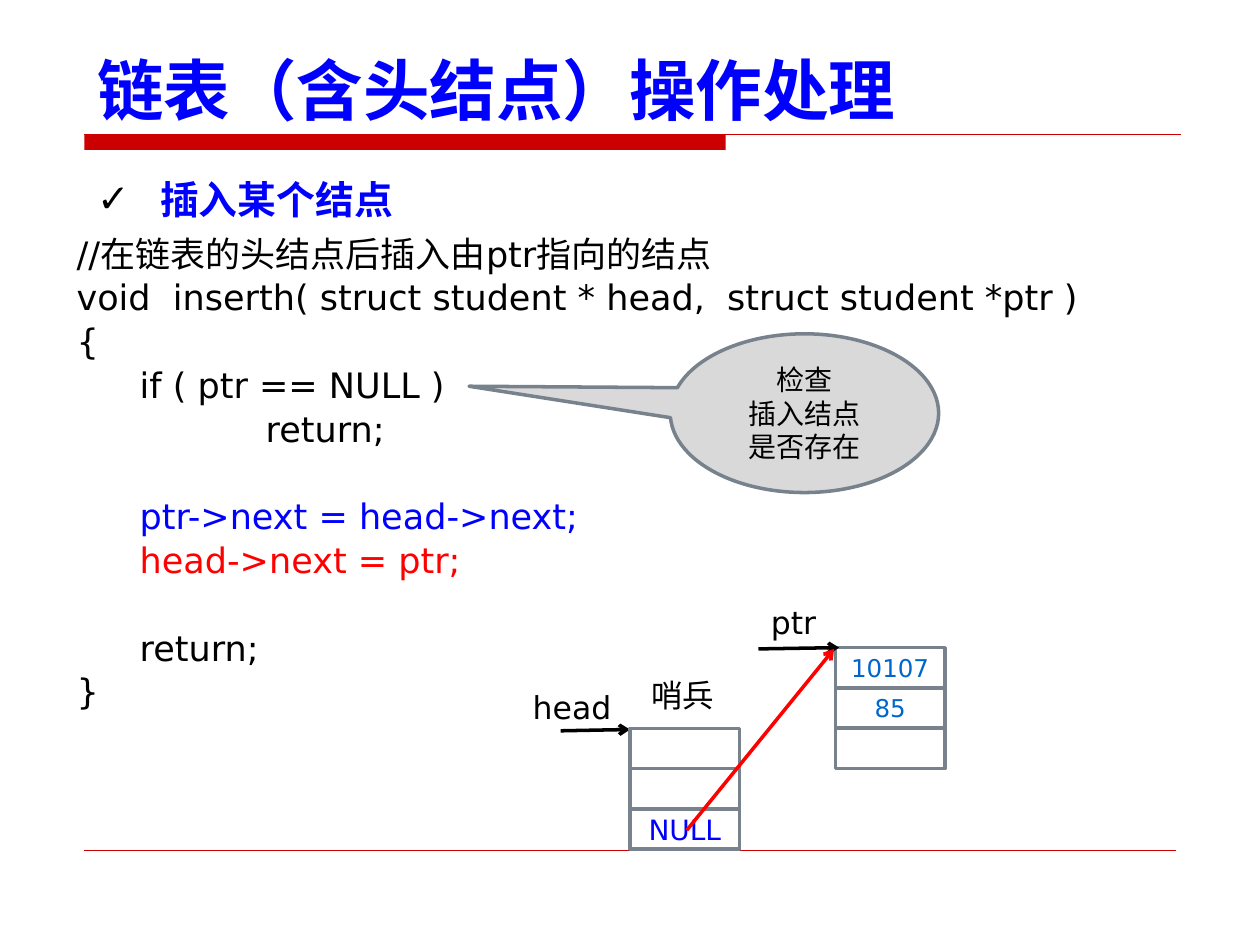
import pptx
import pptx.dml.color
import pptx.enum.shapes
import pptx.enum.text
import pptx.oxml.ns
import pptx.util
from lxml import etree

Anchor = pptx.enum.text.MSO_ANCHOR
Align = pptx.enum.text.PP_ALIGN
Shape = pptx.enum.shapes.MSO_SHAPE


def color(value):
    return pptx.dml.color.RGBColor.from_string(value)


class SlideBuilder:
    """Holds the style and current slide; places elements on a 100 by 75 grid."""

    font = "DejaVu Sans"
    black, blue, red = "000000", "0000FF", "FF0000"
    accent, gray, outline, number = "CC0000", "D9D9D9", "77828D", "0066CC"

    def __init__(self, presentation):
        self.column = presentation.slide_width / 100
        self.row = presentation.slide_height / 75
        self.slide = presentation.slides.add_slide(presentation.slide_layouts[1])
        self.shapes = self.slide.shapes

    def box(self, left, top, width, height):
        return (round(left * self.column), round(top * self.row),
                round(width * self.column), round(height * self.row))

    def place(self, shape, area):
        shape.left, shape.top, shape.width, shape.height = self.box(*area)

    def start_group(self):
        self.shapes = self.slide.shapes.add_group_shape().shapes

    def end_group(self):
        self.shapes = self.slide.shapes

    def add_text(self, paragraph, text, size, hue, bold=False):
        run = paragraph.add_run()
        run.text = text
        run.font.name = self.font
        run.font.size = pptx.util.Pt(size)
        run.font.bold = bold
        run.font.color.rgb = color(hue)

    def indent(self, paragraph, left, hanging=0):
        properties = paragraph._p.get_or_add_pPr()
        properties.set("marL", str(round(left * self.column)))
        properties.set("indent", str(round(-hanging * self.column)))
        return properties

    def title(self, text, area):
        shape = self.slide.shapes.title
        self.place(shape, area)
        frame = shape.text_frame
        frame.auto_size = pptx.enum.text.MSO_AUTO_SIZE.NONE
        frame.vertical_anchor = Anchor.BOTTOM
        paragraph = frame.paragraphs[0]
        paragraph.alignment = Align.LEFT
        self.add_text(paragraph, text, 38, self.blue, True)

    def check_item(self, text, area):
        shape = self.slide.placeholders[1]
        self.place(shape, area)
        frame = shape.text_frame
        frame.auto_size = pptx.enum.text.MSO_AUTO_SIZE.NONE
        paragraph = frame.paragraphs[0]
        properties = self.indent(paragraph, 5, 5)
        name = pptx.oxml.ns.qn
        bullet_color = etree.SubElement(properties, name("a:buClr"))
        etree.SubElement(bullet_color, name("a:srgbClr"), val=self.black)
        etree.SubElement(properties, name("a:buFont"), typeface=self.font)
        etree.SubElement(properties, name("a:buChar"), char="✓")
        paragraph.line_spacing = pptx.util.Pt(35)
        paragraph.space_before = pptx.util.Pt(0)
        self.add_text(paragraph, text, 22.2, self.blue, True)

    def code(self, lines, area):
        frame = self.shapes.add_textbox(*self.box(*area)).text_frame
        frame.word_wrap = True
        for index, (left, gap, hue, text) in enumerate(lines):
            paragraph = frame.add_paragraph() if index else frame.paragraphs[0]
            self.indent(paragraph, left)
            paragraph.line_spacing = pptx.util.Pt(25)
            paragraph.space_before = pptx.util.Pt(25 * gap)
            self.add_text(paragraph, text, 20, hue)

    def label(self, text, area, wrap=True):
        frame = self.shapes.add_textbox(*self.box(*area)).text_frame
        frame.word_wrap = wrap
        self.add_text(frame.paragraphs[0], text, 18, self.black)

    def shape(self, kind, area, fill, line=None, lines=(), size=16, hue="000000"):
        shape = self.shapes.add_shape(kind, *self.box(*area))
        shape.shadow.inherit = False
        shape.fill.solid()
        shape.fill.fore_color.rgb = color(fill)
        if line:
            shape.line.color.rgb = color(line)
            shape.line.width = pptx.util.Pt(2)
        else:
            shape.line.fill.background()
        frame = shape.text_frame
        frame.vertical_anchor = Anchor.MIDDLE
        for index, text in enumerate(lines):
            paragraph = frame.add_paragraph() if index else frame.paragraphs[0]
            paragraph.alignment = Align.CENTER
            self.add_text(paragraph, text, size, hue)
        return shape

    def node(self, left, top, values, size, hue):
        height = 3.2
        for index, value in enumerate(values):
            self.shape(Shape.RECTANGLE, (left, top + index * height, 8.7, height),
                       "FFFFFF", self.outline, [value] if value else [], size, hue)

    def line(self, start, end, hue, width=2, arrow=True):
        connector = self.shapes.add_connector(
            pptx.enum.shapes.MSO_CONNECTOR.STRAIGHT, *self.box(*start, *end))
        connector.line.color.rgb = color(hue)
        connector.line.width = pptx.util.Pt(width)
        name = pptx.oxml.ns.qn
        properties = connector._element.spPr
        if arrow:
            etree.SubElement(properties.find(name("a:ln")), name("a:tailEnd"), type="arrow")
        etree.SubElement(properties, name("a:effectLst"))


def main():
    presentation = pptx.Presentation()
    presentation.slide_width = pptx.util.Inches(10)
    presentation.slide_height = pptx.util.Inches(7.5)
    page = SlideBuilder(presentation)
    black, blue, red = page.black, page.blue, page.red

    page.shape(Shape.RECTANGLE, (6.7, 10.7, 50.9, 1.2), page.accent)
    page.line((6.7, 10.7), (93.7, 10.7), page.accent, 0.75, False)
    page.line((6.7, 67.5), (93.3, 67.5), page.accent, 0.25, False)
    page.title("链表（含头结点）操作处理", (6.7, 2.8, 90.6, 7.9))
    page.check_item("插入某个结点", (6.7, 12.3, 81.9, 5.2))

    page.code([
        (0, 0, black, "//在链表的头结点后插入由ptr指向的结点"),
        (0, 0, black, "void  inserth( struct student * head,  struct student *ptr )"),
        (0, 0, black, "{"),
        (5, 0, black, "if ( ptr == NULL )"),
        (15, 0, black, "return;"),
        (5, 1, blue, "ptr->next = head->next;"),
        (5, 0, red, "head->next = ptr;"),
        (5, 1, black, "return;"),
        (0, 0, black, "}"),
    ], (5.1, 17.8, 96.2, 39.2))

    callout = page.shape(Shape.OVAL_CALLOUT, (53.2, 26.5, 21.3, 12.6), page.gray,
                         page.outline, ["检查", "插入结点", "是否存在"])
    callout.adjustments[0] = -1.25
    callout.adjustments[1] = -0.17

    page.start_group()
    page.label("head", (41.3, 54.1, 8.7, 4))
    page.line((44.5, 58), (50, 57.9), black)
    page.node(50, 57.8, ["", "", "NULL"], 16, blue)
    page.label("哨兵", (50.7, 53.2, 7, 4), False)

    page.start_group()
    page.label("ptr", (60.2, 47.4, 7.9, 4))
    page.node(66.3, 51.4, ["10107", "85", ""], 14, page.number)
    page.line((60.2, 51.5), (66.6, 51.4), black)

    page.end_group()
    page.line((54.5, 65.9), (66.2, 51.5), red)
    presentation.save("out.pptx")


if __name__ == "__main__":
    main()
